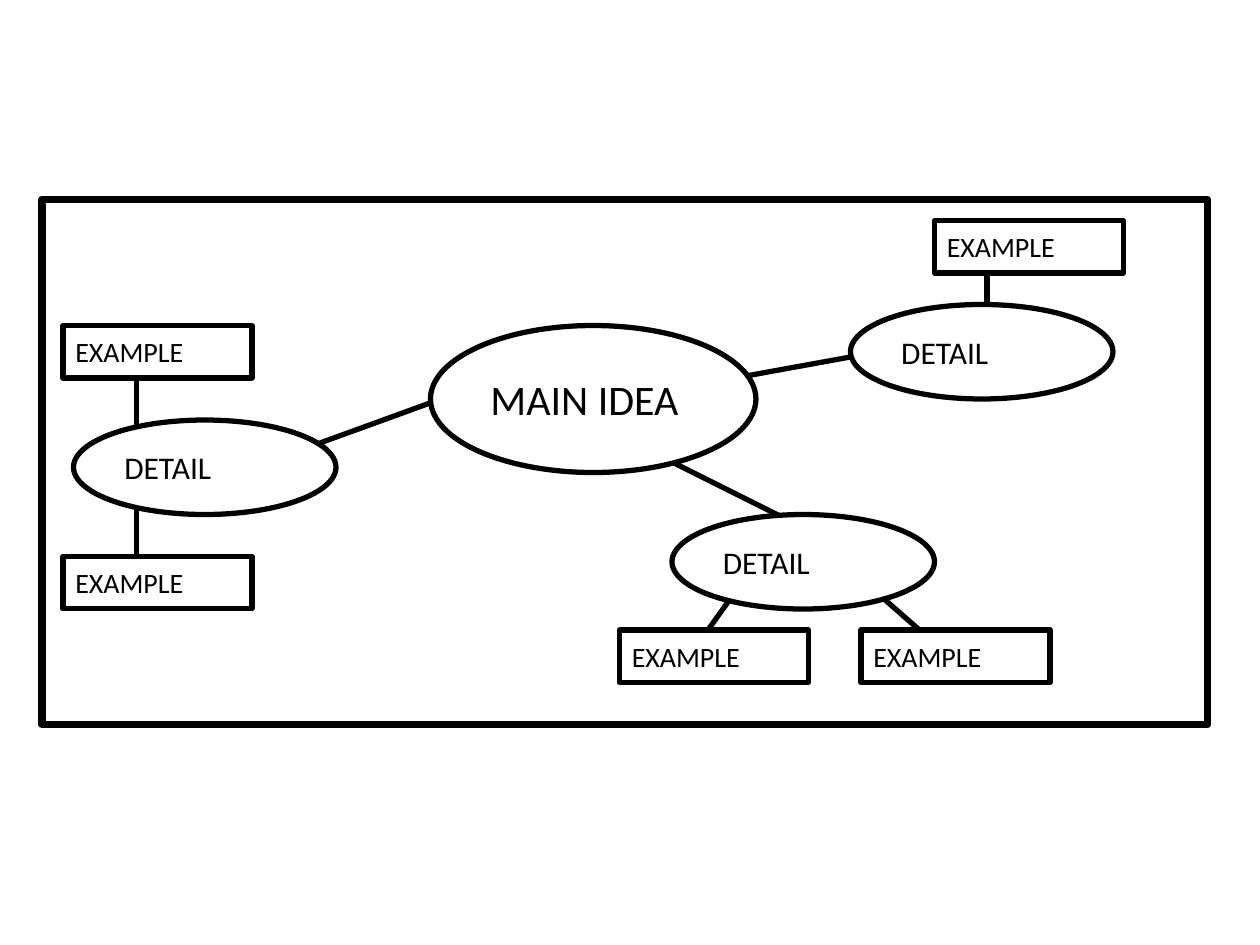
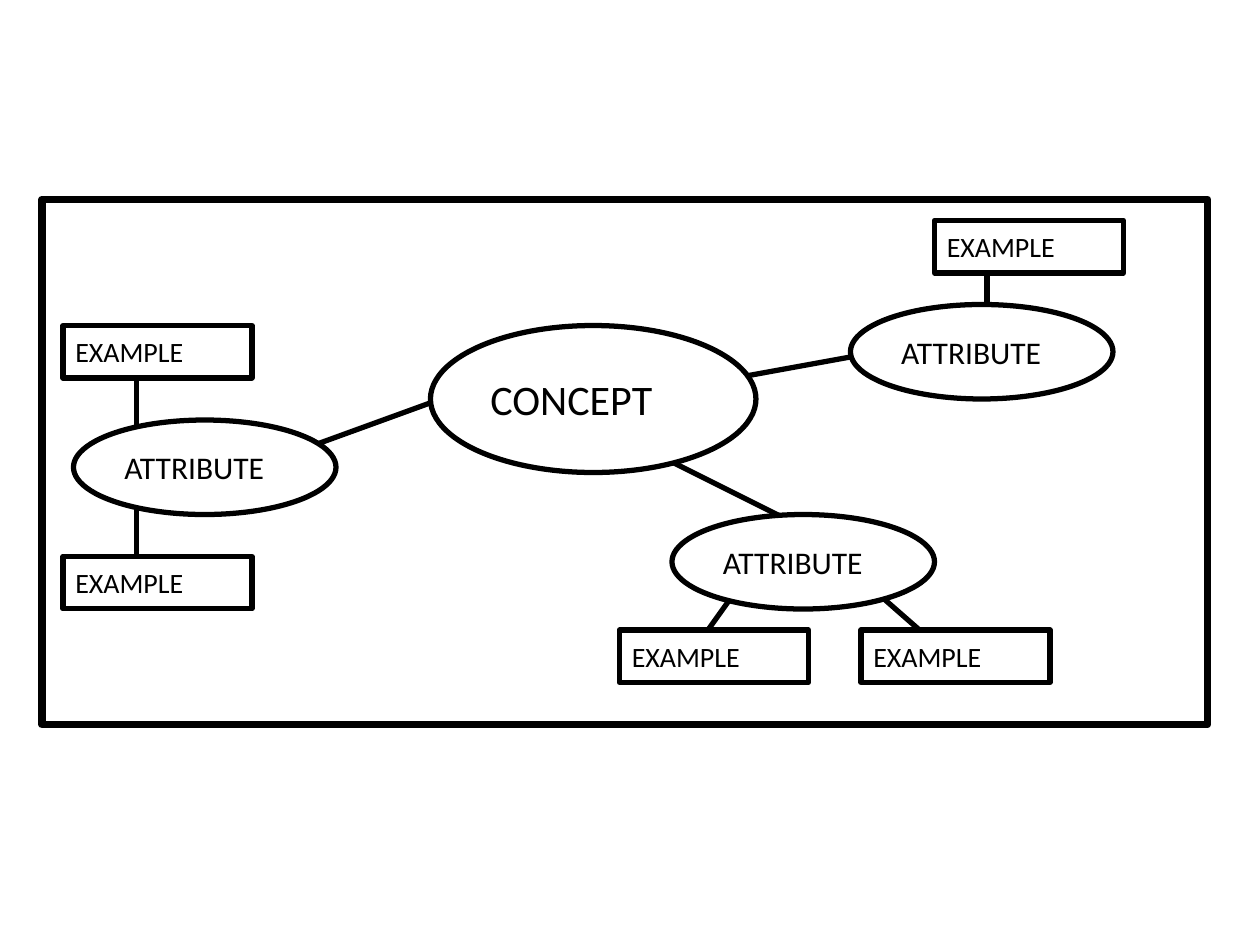
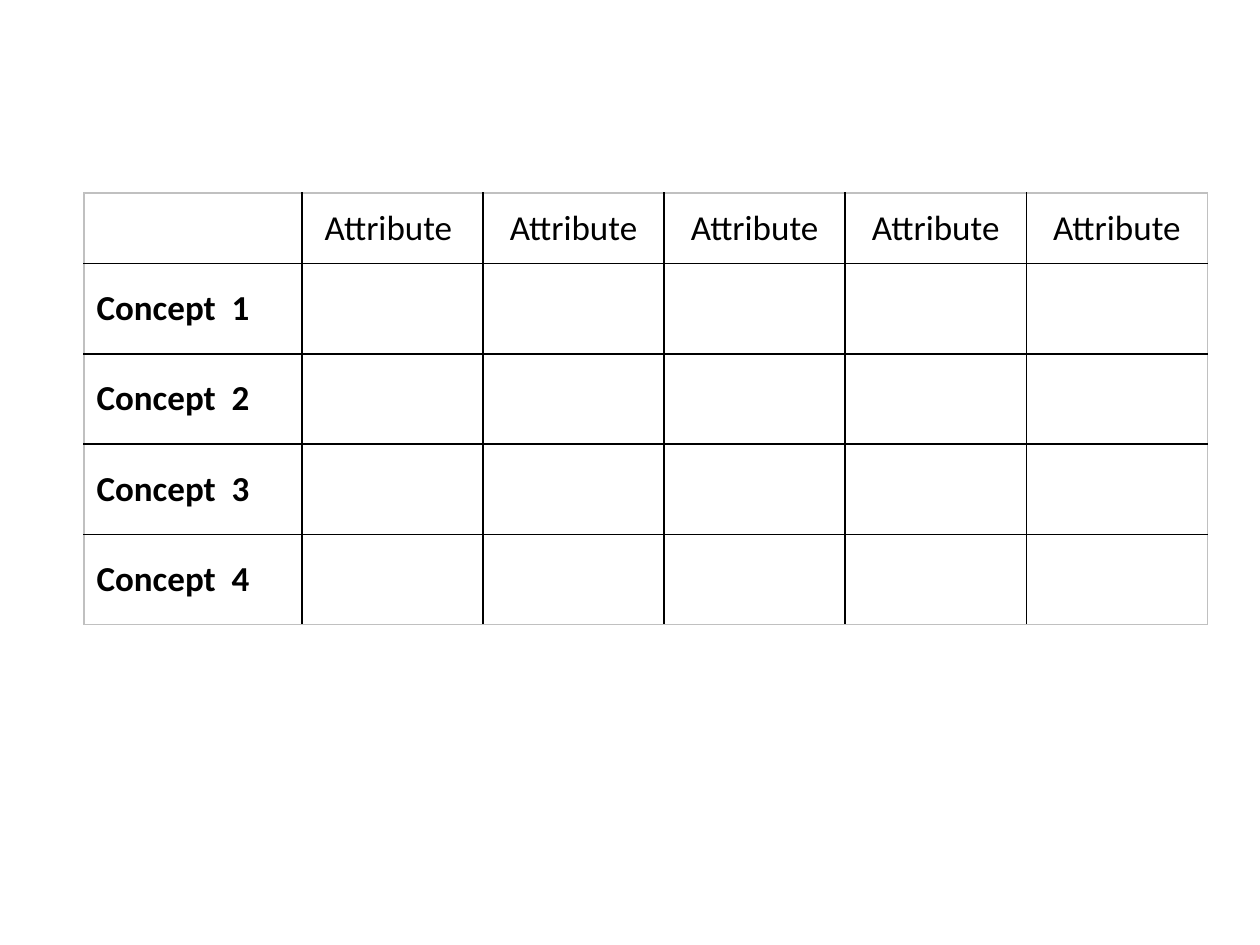
from typing import NamedTuple

from lxml.etree import SubElement
from pptx import Presentation
from pptx.dml.color import RGBColor
from pptx.enum.shapes import MSO_CONNECTOR, MSO_SHAPE
from pptx.enum.text import MSO_ANCHOR, PP_ALIGN
from pptx.oxml.ns import qn
from pptx.shapes.autoshape import Shape
from pptx.slide import Slide
from pptx.table import _Cell
from pptx.text.text import TextFrame
from pptx.util import Inches, Length, Pt

COLORS = {"ink": "000000", "paper": "FFFFFF", "edge": "C0C0C0"}
FONT = "Calibri"
UNITS_PER_INCH = 12


class Style(NamedTuple):
    outline: MSO_SHAPE
    columns: float
    rows: float
    line_pt: float = 3
    text_pt: int = 18


class Place(NamedTuple):
    column: float
    row: float


class Link(NamedTuple):
    start: Place
    end: Place


class MapWords(NamedTuple):
    center: str
    branch: str
    leaf: str = "EXAMPLE"


FRAME = Style(MSO_SHAPE.RECTANGLE, 111, 50, line_pt=4.5)
CENTER = Style(MSO_SHAPE.OVAL, 31, 14, text_pt=24)
BRANCH = Style(MSO_SHAPE.OVAL, 25, 9)
LEAF = Style(MSO_SHAPE.RECTANGLE, 18, 5, text_pt=16)

FRAME_PLACE = Place(4, 19)
CENTER_PLACE = Place(41, 31)
BRANCH_PLACES = [Place(7, 40), Place(81, 29), Place(64, 49)]
LEAF_PLACES = [Place(6, 31), Place(6, 53), Place(59, 60), Place(82, 60), Place(89, 21)]
LINKS = [
    Link(Place(13, 36), Place(13, 53)),
    Link(Place(71, 55), Place(66, 62)),
    Link(Place(94, 24), Place(94, 34)),
    Link(Place(83, 56), Place(91, 63)),
    Link(Place(42, 38), Place(20, 46)),
    Link(Place(64, 44), Place(82, 53)),
    Link(Place(70, 36), Place(81, 34)),
]

TABLE_PLACE = Place(8, 18.4)
TABLE_COLUMNS = [20.75] + [17.25] * 5
TABLE_ROWS = [6.7] + [8.6] * 4
ATTRIBUTES = ["Attribute "] + ["Attribute"] * 4
CONCEPTS = [f"Concept  {number}" for number in range(1, 5)]


def units(count: float) -> Length:
    """Turn grid units into a length."""
    return Inches(count / UNITS_PER_INCH)


def rgb(name: str) -> RGBColor:
    """Look up a colour of the palette."""
    return RGBColor.from_string(COLORS[name])


def write(frame: TextFrame, words: str, size: int, bold: bool = False,
          align: PP_ALIGN = PP_ALIGN.LEFT) -> None:
    """Write one run into the first paragraph."""
    paragraph = frame.paragraphs[0]
    paragraph.alignment = align
    run = paragraph.add_run()
    run.text = words
    run.font.name = FONT
    run.font.size = Pt(size)
    run.font.bold = bold
    run.font.color.rgb = rgb("ink")


def draw_outline(slide: Slide, style: Style, place: Place) -> Shape:
    """Draw a white outlined shape on the grid."""
    outline = slide.shapes.add_shape(
        style.outline, units(place.column), units(place.row),
        units(style.columns), units(style.rows))
    outline.shadow.inherit = False
    outline.fill.solid()
    outline.fill.fore_color.rgb = rgb("paper")
    outline.line.color.rgb = rgb("ink")
    outline.line.width = Pt(style.line_pt)
    return outline


def draw_node(slide: Slide, style: Style, place: Place, words: str) -> None:
    """Draw an outlined shape with a label."""
    label = draw_outline(slide, style, place).text_frame
    label.word_wrap = False
    label.vertical_anchor = MSO_ANCHOR.MIDDLE
    write(label, words, style.text_pt)


def draw_link(slide: Slide, link: Link) -> None:
    """Draw a plain line between two grid places."""
    connector = slide.shapes.add_connector(
        MSO_CONNECTOR.STRAIGHT, units(link.start.column), units(link.start.row),
        units(link.end.column), units(link.end.row))
    connector.line.color.rgb = rgb("ink")
    connector.line.width = Pt(3)
    SubElement(connector._element.spPr, qn("a:effectLst"))


def draw_map(slide: Slide, words: MapWords) -> None:
    """Draw a framed map of a centre, its branches and their leaves."""
    draw_outline(slide, FRAME, FRAME_PLACE)
    for link in LINKS:
        draw_link(slide, link)
    draw_node(slide, CENTER, CENTER_PLACE, words.center)
    for place in LEAF_PLACES:
        draw_node(slide, LEAF, place, words.leaf)
    for place in BRANCH_PLACES:
        draw_node(slide, BRANCH, place, words.branch)


def set_border(cell: _Cell, side: str, color: str) -> None:
    """Give one side of a cell a thin line."""
    border = SubElement(cell._tc.get_or_add_tcPr(), qn(f"a:ln{side}"), w=str(Pt(1)))
    fill = SubElement(border, qn("a:solidFill"))
    SubElement(fill, qn("a:srgbClr"), val=COLORS[color])


def draw_matrix(slide: Slide) -> None:
    """Draw the table of concepts against attributes."""
    matrix = slide.shapes.add_table(
        len(TABLE_ROWS), len(TABLE_COLUMNS),
        units(TABLE_PLACE.column), units(TABLE_PLACE.row),
        units(sum(TABLE_COLUMNS)), units(sum(TABLE_ROWS))).table
    matrix.first_row = matrix.horz_banding = False
    for column, width in zip(matrix.columns, TABLE_COLUMNS):
        column.width = units(width)
    for row, height in zip(matrix.rows, TABLE_ROWS):
        row.height = units(height)

    last_row, last_column = len(TABLE_ROWS) - 1, len(TABLE_COLUMNS) - 1
    for r in range(len(TABLE_ROWS)):
        for c in range(len(TABLE_COLUMNS)):
            cell = matrix.cell(r, c)
            outer = {"L": c == 0, "R": c == last_column, "T": r == 0, "B": r == last_row}
            for side, is_outer in outer.items():
                set_border(cell, side, "edge" if is_outer else "ink")
            cell.fill.solid()
            cell.fill.fore_color.rgb = rgb("paper")
            cell.vertical_anchor = MSO_ANCHOR.MIDDLE
    for c, attribute in enumerate(ATTRIBUTES, start=1):
        write(matrix.cell(0, c).text_frame, attribute, 20, align=PP_ALIGN.CENTER)
    for r, concept in enumerate(CONCEPTS, start=1):
        write(matrix.cell(r, 0).text_frame, concept, 20, bold=True)


def main() -> None:
    """Build the two maps and the matrix."""
    deck = Presentation()
    deck.slide_width, deck.slide_height = units(120), units(90)
    blank = deck.slide_layouts[6]
    for words in (MapWords("MAIN IDEA", "DETAIL"), MapWords("CONCEPT", "ATTRIBUTE")):
        draw_map(deck.slides.add_slide(blank), words)
    draw_matrix(deck.slides.add_slide(blank))
    deck.save("out.pptx")


if __name__ == "__main__":
    main()
